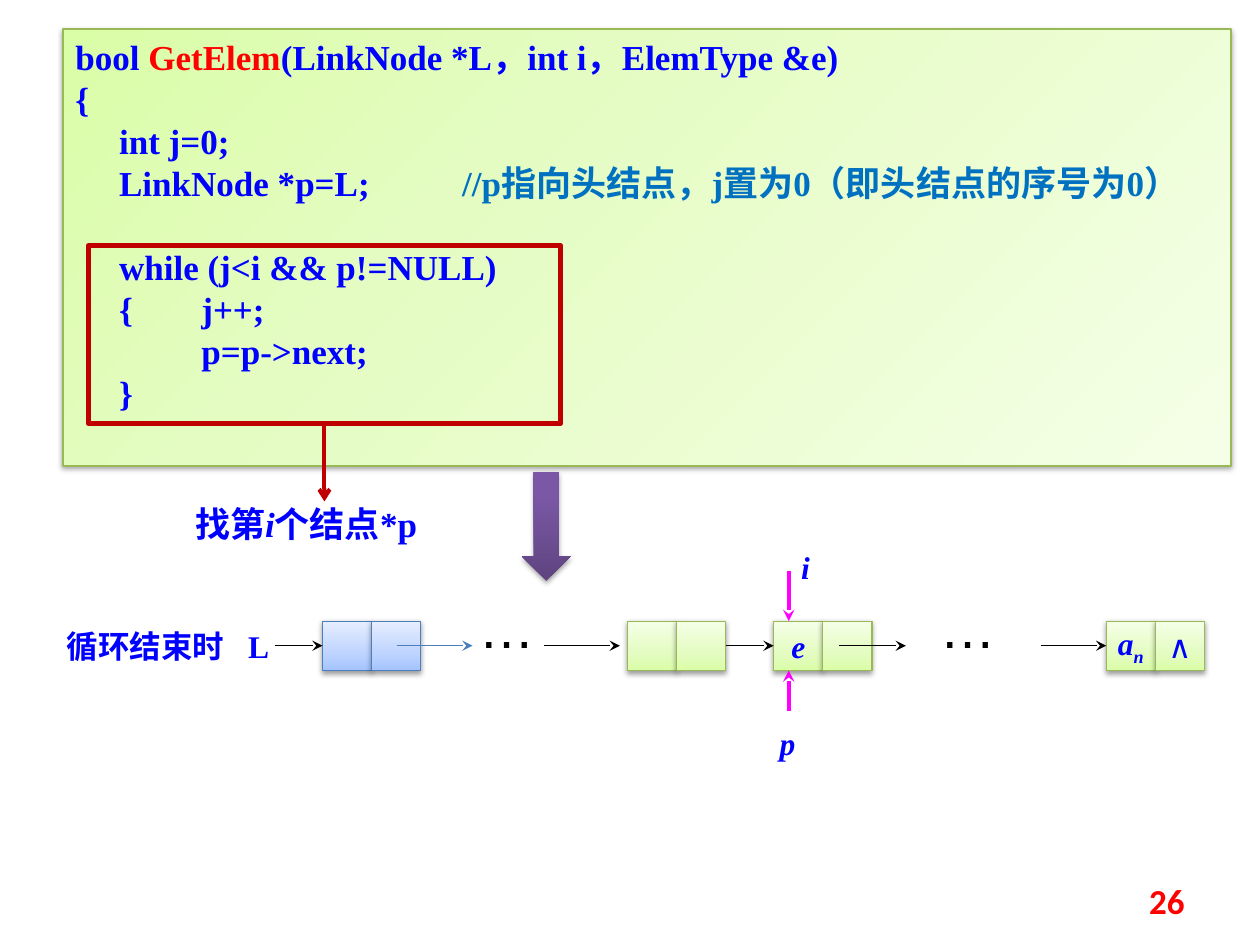
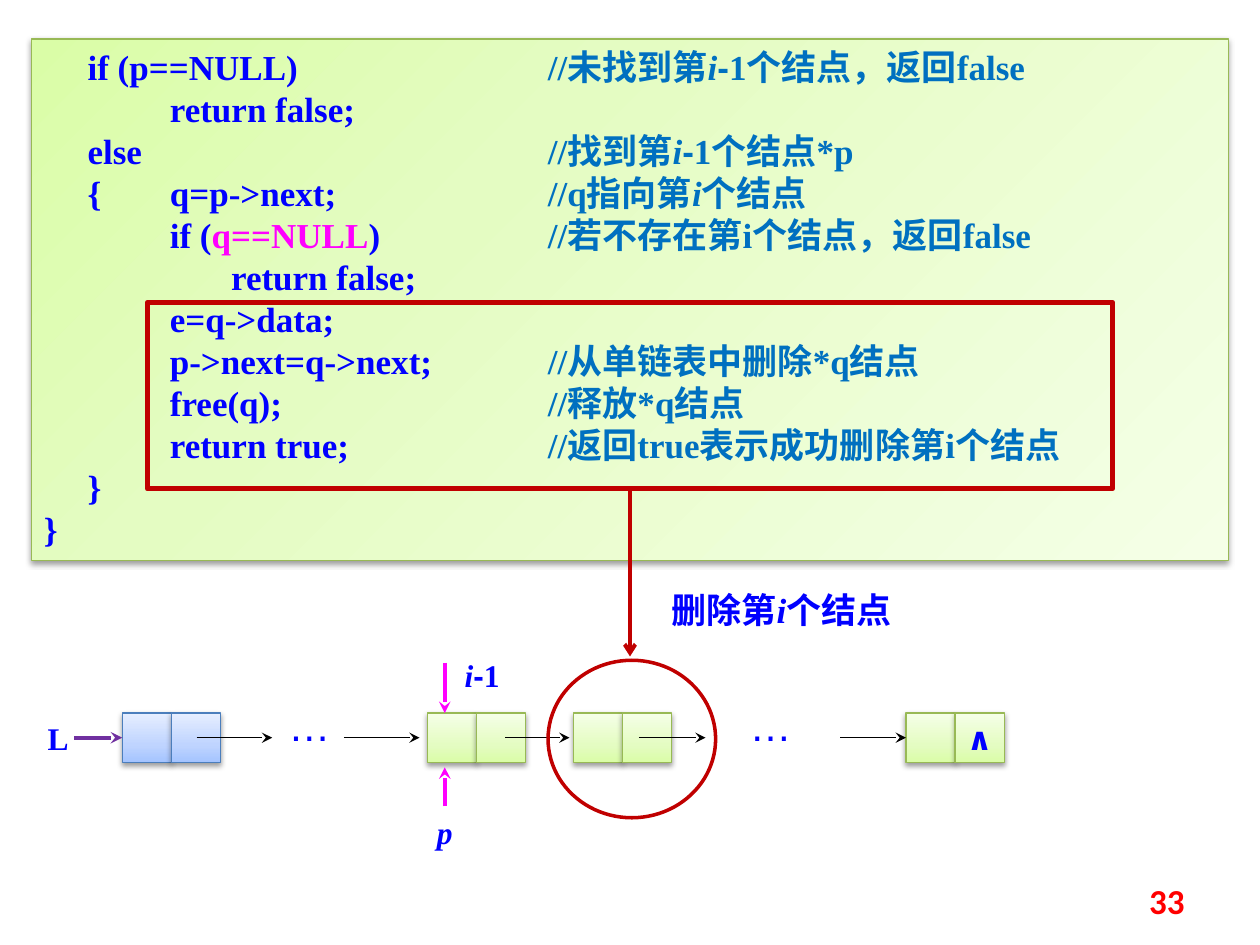
from dataclasses import dataclass

from lxml import etree
from pptx import Presentation
from pptx.dml.color import RGBColor
from pptx.enum.shapes import MSO_CONNECTOR, MSO_SHAPE
from pptx.enum.text import MSO_ANCHOR, PP_ALIGN
from pptx.oxml.ns import qn
from pptx.util import Inches, Pt

RECT, OVAL, DOWN_ARROW = MSO_SHAPE.RECTANGLE, MSO_SHAPE.OVAL, MSO_SHAPE.DOWN_ARROW
STRAIGHT = MSO_CONNECTOR.STRAIGHT
LEFT, CENTER, RIGHT = PP_ALIGN.LEFT, PP_ALIGN.CENTER, PP_ALIGN.RIGHT
TOP, MIDDLE = MSO_ANCHOR.TOP, MSO_ANCHOR.MIDDLE

BLUE, NOTE, RED, PINK = "0000FF", "0070C0", "FF0000", "FF00FF"
BLACK, DARK_RED, VIOLET = "000000", "C00000", "7030A0"
GREEN_EDGE, HEAD_EDGE = "98B955", "4B7EBC"
GREEN_FILL = [(0, "DAFDA7"), (35, "E4FCC2"), (100, "F5FFE7")]
HEAD_FILL = [(0, "A4C4FF"), (35, "BFD4FF"), (100, "E6EEFF")]
PURPLE_FILL = [(0, "5F4480"), (80, "7B58A6"), (100, "7C57A8")]
SERIF, SANS, SYMBOL, NUMBER = "Times New Roman", "Arial", "DejaVu Sans", "Calibri"

prs = Presentation()
prs.slide_width, prs.slide_height = Inches(10), Inches(7.5)
GRID = prs.slide_width // 10  # the slide is 10 columns by 7.5 rows of this size
CELL = 0.39
NODE_OFFSETS = (0, 2.42, 3.58, 6.22)  # columns from the head node
CODE_PITCH = Pt(24)


@dataclass
class Run:
    text: str
    colour: str = BLUE
    size: int = 20
    font: str = SERIF
    bold: bool = True
    italic: bool = False
    subscript: bool = False


def box(slide, geometry, at, paragraphs=(), fill=None, angle=90, edge=None, width=0.75,
        align=LEFT, anchor=TOP, wrap=True):
    """Add a preset shape, or a text box when geometry is None; at is in grid units."""
    place = [round(length * GRID) for length in at]
    if geometry is None:
        shape = slide.shapes.add_textbox(*place)
    else:
        shape = slide.shapes.add_shape(geometry, *place)
        shape.shadow.inherit = False
        if fill:
            shape.fill.gradient()
            shape.fill.gradient_angle = angle
            properties = shape._element.spPr
            stops = properties.find(".//" + qn("a:gsLst"))
            stops.clear()
            for position, colour in fill:
                stop = etree.SubElement(stops, qn("a:gs"), pos=str(position * 1000))
                etree.SubElement(stop, qn("a:srgbClr"), val=colour)
            shadow = etree.SubElement(properties.find(qn("a:effectLst")), qn("a:outerShdw"),
                                      blurRad=str(Pt(3.1)), dist=str(Pt(1.6)),
                                      dir="5400000", rotWithShape="0")
            shade = etree.SubElement(shadow, qn("a:srgbClr"), val=BLACK)
            etree.SubElement(shade, qn("a:alpha"), val="38000")
        else:
            shape.fill.background()
        if edge:
            shape.line.color.rgb = RGBColor.from_string(edge)
            shape.line.width = Pt(width)
        else:
            shape.line.fill.background()
    frame = shape.text_frame
    frame.word_wrap, frame.vertical_anchor = wrap, anchor
    for number, runs in enumerate(paragraphs):
        paragraph = frame.add_paragraph() if number else frame.paragraphs[0]
        paragraph.alignment = align
        for run in runs:
            piece = paragraph.add_run()
            piece.text = run.text
            font = piece.font
            font.name, font.size = run.font, Pt(run.size)
            font.bold, font.italic = run.bold, run.italic
            font.color.rgb = RGBColor.from_string(run.colour)
            if run.subscript:
                piece._r.get_or_add_rPr().set("baseline", "-25000")
    return shape


def arrow(slide, start, end, colour=BLACK, width=0.75, head="stealth", source=None, target=None):
    """Add an arrow; source and target are (shape, side) pairs to join."""
    line = slide.shapes.add_connector(STRAIGHT, *[round(v * GRID) for v in (*start, *end)])
    line.line.color.rgb = RGBColor.from_string(colour)
    line.line.width = Pt(width)
    etree.SubElement(line.line._get_or_add_ln(), qn("a:tailEnd"), type=head)
    etree.SubElement(line._element.spPr, qn("a:effectLst"))
    if source:
        line.begin_connect(*source)
    if target:
        line.end_connect(*target)


find_code = [
    [Run("bool "), Run("GetElem", RED), Run("(LinkNode *L，int i，ElemType &e)")],
    [Run("{")],
    [Run("     int j=0;")],
    [Run("     LinkNode *p=L;\t"), Run("//p指向头结点，j置为0（即头结点的序号为0）", NOTE)],
    [Run("     while (j<i && p!=NULL)")],
    [Run("     {\tj++;")],
    [Run("\tp=p->next;")],
    [Run("     }")],
]
delete_code = [
    [Run("     if (p==NULL)\t"), Run("//未找到第", NOTE), Run("i", NOTE, italic=True),
     Run("-", NOTE, font=SANS), Run("1个结点，返回false", NOTE)],
    [Run("\treturn false;")],
    [Run("     else\t\t"), Run("//找到第", NOTE), Run("i", NOTE, italic=True),
     Run("-", NOTE, font=SANS), Run("1个结点*p", NOTE)],
    [Run("     {\tq=p->next;\t"), Run("//q指向第", NOTE), Run("i", NOTE, italic=True),
     Run("个结点", NOTE)],
    [Run("\tif ("), Run("q==NULL", PINK), Run(")\t"),
     Run("//若不存在第i个结点，返回false", NOTE)],
    [Run("\t       return false;")],
    [Run("\te=q->data;")],
    [Run("\tp->next=q->next;\t"), Run("//从单链表中删除*q结点", NOTE)],
    [Run("\tfree(q);\t"), Run("//释放*q结点", NOTE)],
    [Run("\treturn true;\t"), Run("//返回true表示成功删除第i个结点", NOTE)],
    [Run("     }")],
    [Run("}")],
]

scenes = [
    dict(
        page="26", code=find_code, panel=(0.5, 0.23, 9.27, 3.47), tabs=(1, 3.07),
        focus=(0.7, 1.95, 3.75, 1.41), focus_end=3.98,
        caption=[Run("找第"), Run("i", italic=True), Run("个结点*p")],
        caption_at=(1.45, 3.94, 2.27, 0.44),
        head=(2.56, 4.93), head_link=(BLACK, 0.75), next_colour=HEAD_EDGE,
        labels={(2, 0): [Run("e", size=18, italic=True)],
                (3, 0): [Run("a", size=18, italic=True),
                         Run("n", size=18, italic=True, subscript=True)],
                (3, 1): [Run("∧", size=18, font=SYMBOL, bold=False)]},
        dots=Run("…", BLACK, 32, SANS, False), dots_at=(1.14, -0.28, 0.63),
        marked=2, marker=0.12, below=(0.71, 0.39),
        index=[Run("i", size=18, italic=True)], index_at=(0.12, -0.63), p_at=(-0.05, 0.77),
    ),
    dict(
        page="33", code=delete_code, panel=(0.25, 0.31, 9.5, 4.14), tabs=(1, 4),
        focus=(1.17, 2.4, 7.66, 1.48), focus_end=5.21,
        caption=[Run("删除第"), Run("i", italic=True), Run("个结点")],
        caption_at=(5.23, 4.62, 2.81, 0.44),
        head=(0.97, 5.66), head_link=(VIOLET, 2.25), next_colour=BLACK,
        labels={(3, 1): [Run("∧", size=18, font=SYMBOL)]},
        dots=Run("…", BLUE, 24, SANS, False), dots_at=(1.22, -0.16, 0.5),
        marked=1, marker=0.14, below=(0.74, 0.43),
        index=[Run("i", size=18, italic=True), Run("-", size=18, font=SANS),
               Run("1", size=18)],
        index_at=(0.2, -0.5), p_at=(-0.02, 0.74),
    ),
]

slides = []
for scene in scenes:
    slide = prs.slides.add_slide(prs.slide_layouts[6])
    slides.append(slide)

    # Code panel with aligned tab columns
    panel = box(slide, RECT, scene["panel"], scene["code"], GREEN_FILL, 315, GREEN_EDGE)
    for paragraph in panel.text_frame.paragraphs:
        tab_list = etree.SubElement(paragraph._p.get_or_add_pPr(), qn("a:tabLst"))
        for stop in scene["tabs"]:
            etree.SubElement(tab_list, qn("a:tab"), pos=str(round(stop * GRID)), algn="l")
        paragraph.line_spacing = CODE_PITCH
        if "while" in paragraph.text:
            paragraph.space_before = CODE_PITCH

    # Highlighted statements and what they do
    focus_left, focus_top, focus_width, focus_height = scene["focus"]
    focus = box(slide, RECT, scene["focus"], edge=DARK_RED, width=3)
    focus_middle = focus_left + focus_width / 2
    arrow(slide, (focus_middle, focus_top + focus_height), (focus_middle, scene["focus_end"]),
          DARK_RED, 2.25, "arrow", source=(focus, 2))
    box(slide, None, scene["caption_at"], [scene["caption"]])

    # Linked list: two cells per node
    head_x, top = scene["head"]
    middle = top + CELL / 2
    cells = {}
    for node, offset in enumerate(NODE_OFFSETS):
        fill, edge = (GREEN_FILL, GREEN_EDGE) if node else (HEAD_FILL, HEAD_EDGE)
        for part in range(2):
            label = scene["labels"].get((node, part))
            cells[node, part] = box(
                slide, RECT, (head_x + offset + part * CELL, top, CELL, CELL),
                [label] if label else (), fill, edge=edge,
                align=CENTER, anchor=MIDDLE, wrap=False)

    box(slide, None, (head_x - 0.69, top, 0.29, 0.4), [[Run("L", size=18)]])
    arrow(slide, (head_x - 0.38, middle), (head_x, middle), *scene["head_link"],
          target=(cells[0, 0], 1))
    for start, end, colour in ((0.59, 1.19, scene["next_colour"]), (1.76, 2.36, BLACK),
                               (4.1, 4.63, BLACK)):
        arrow(slide, (head_x + start, middle), (head_x + end, middle), colour)
    arrow(slide, (head_x + 5.7, middle), (head_x + 6.22, middle), target=(cells[3, 0], 1))
    if scene["marked"] == 2:
        arrow(slide, (head_x + 3.2, middle), (head_x + 3.58, middle),
              source=(cells[1, 1], 3), target=(cells[2, 0], 1))
    else:
        arrow(slide, (head_x + 3.04, middle), (head_x + 3.55, middle))

    dots_x, dots_y, dots_height = scene["dots_at"]
    for gap in (0, 3.66):
        box(slide, None, (head_x + dots_x + gap, top + dots_y, 0.79, dots_height),
            [[scene["dots"]]])

    # Position index above and pointer p below the marked node
    node_x = head_x + NODE_OFFSETS[scene["marked"]]
    marker_x = node_x + scene["marker"]
    tail_y, tip_y = scene["below"]
    arrow(slide, (marker_x, top - 0.4), (marker_x, top), PINK, 2.25)
    arrow(slide, (marker_x, top + tail_y), (marker_x, top + tip_y), PINK, 2.25)
    for runs, (dx, dy) in ((scene["index"], scene["index_at"]),
                           ([Run("p", size=18, italic=True)], scene["p_at"])):
        box(slide, None, (node_x + dx, top + dy, 0.64, 0.4), [runs])

    box(slide, None, (7.17, 6.95, 2.33, 0.4), [[Run(scene["page"], RED, font=NUMBER)]],
        align=RIGHT, anchor=MIDDLE)

find_slide, delete_slide = slides
box(find_slide, None, (0.43, 4.93, 1.65, 0.4), [[Run("循环结束时", size=18)]])
box(find_slide, DOWN_ARROW, (4.14, 3.75, CELL, 0.86), fill=PURPLE_FILL)
box(delete_slide, OVAL, (4.35, 5.24, 1.33, 1.25), edge=DARK_RED, width=2)

prs.save("out.pptx")
